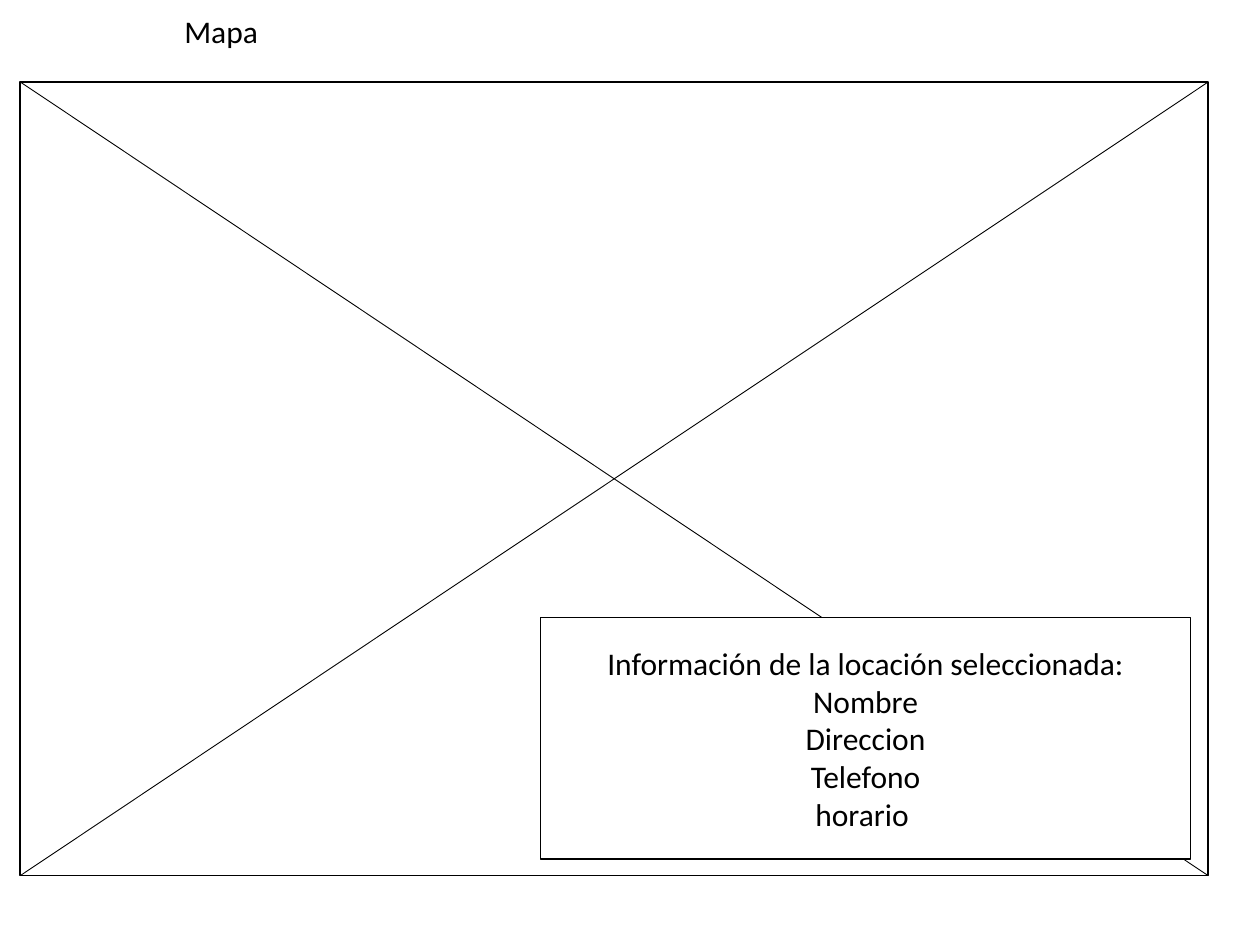
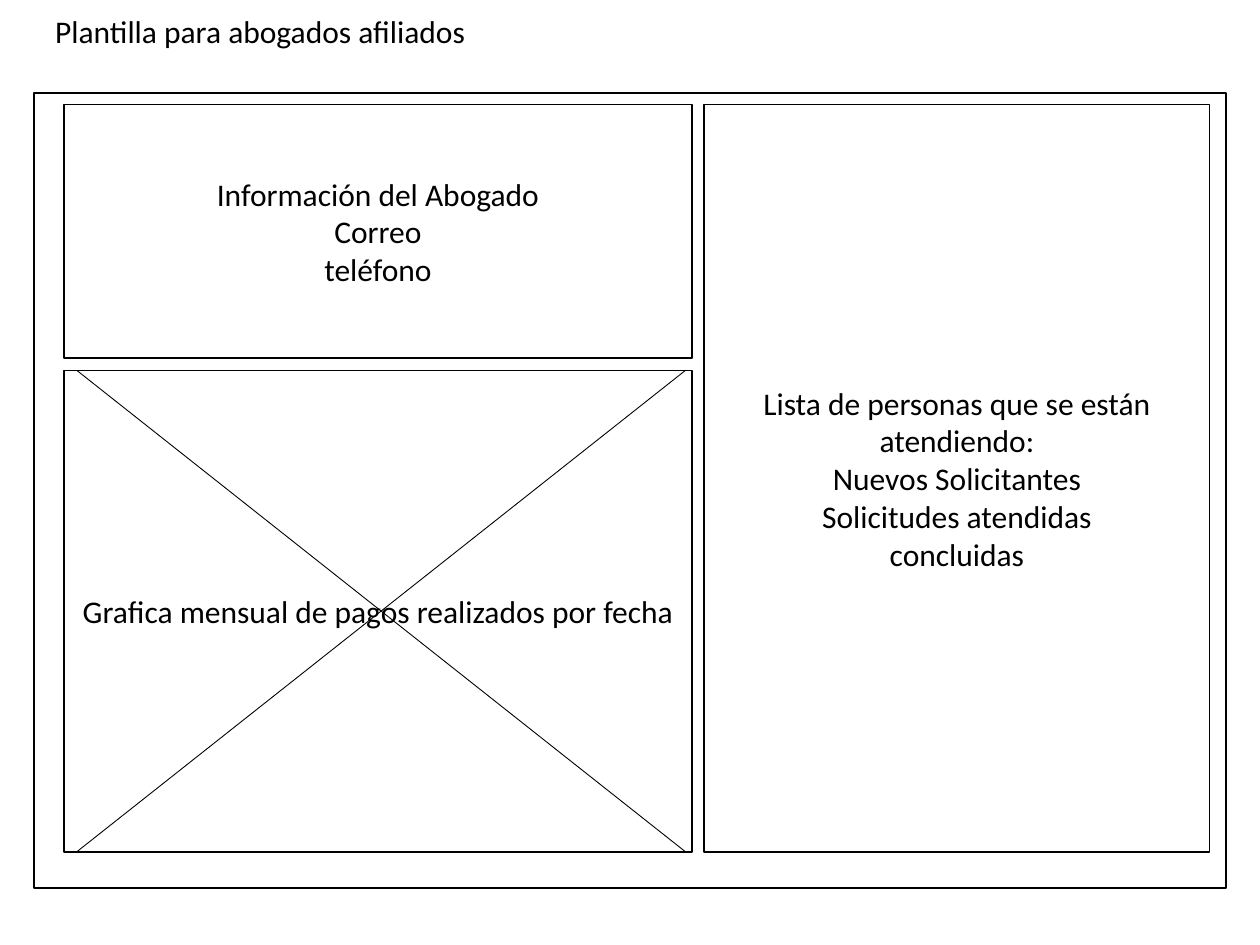
from dataclasses import dataclass

from lxml import etree
from pptx import Presentation
from pptx.dml.color import RGBColor
from pptx.enum.shapes import MSO_CONNECTOR, MSO_SHAPE
from pptx.enum.text import MSO_ANCHOR, MSO_AUTO_SIZE, PP_ALIGN
from pptx.oxml.ns import qn
from pptx.util import Inches, Pt

RECTANGLE = MSO_SHAPE.RECTANGLE
STRAIGHT = MSO_CONNECTOR.STRAIGHT
MIDDLE = MSO_ANCHOR.MIDDLE
CENTER = PP_ALIGN.CENTER
NO_AUTOFIT = MSO_AUTO_SIZE.NONE
TITLE_ONLY = 5


@dataclass(frozen=True)
class Theme:
    """Colours, type and line widths of the wireframes."""
    ink: RGBColor = RGBColor(0, 0, 0)
    paper: RGBColor = RGBColor(255, 255, 255)
    font: str = "Calibri"
    size: Pt = Pt(18)
    border: Pt = Pt(1)
    hairline: Pt = Pt(0.5)


THEME = Theme()


def fill_paper(sp):
    """Give a shape the plain background fill."""
    sp.fill.solid()
    sp.fill.fore_color.rgb = THEME.paper


def write(sp, lines):
    """Centre the lines in a shape, one paragraph each."""
    tf = sp.text_frame
    tf.word_wrap = True
    tf.auto_size = NO_AUTOFIT
    tf.vertical_anchor = MIDDLE
    tf.text = "\n".join(lines)
    for p in tf.paragraphs:
        p.alignment = CENTER
        p.font.name = THEME.font
        p.font.size = THEME.size
        p.font.color.rgb = THEME.ink


def add_titled_slide(prs, title, width):
    """Add a slide with its title in the top left corner."""
    s = prs.slides.add_slide(prs.slide_layouts[TITLE_ONLY])
    sp = s.shapes.title
    sp.left, sp.top = Inches(0.09), Inches(0.04)
    sp.width, sp.height = Inches(width), Inches(0.41)
    fill_paper(sp)
    write(sp, [title])
    return s


def add_panel(s, box, lines=()):
    """Draw an outlined panel, with text if there is any."""
    sp = s.shapes.add_shape(RECTANGLE, *map(Inches, box))
    sp.shadow.inherit = False
    fill_paper(sp)
    sp.line.color.rgb = THEME.ink
    sp.line.width = THEME.border
    if lines:
        write(sp, lines)


def add_cross(s, box):
    """Draw the two diagonals of a box."""
    x, y, w, h = box
    for y1, y2 in ((y, y + h), (y + h, y)):
        line = s.shapes.add_connector(
            STRAIGHT, Inches(x), Inches(y1), Inches(x + w), Inches(y2))
        line.line.color.rgb = THEME.ink
        line.line.width = THEME.hairline
        etree.SubElement(line._element.spPr, qn("a:effectLst"))


def build_map(s, box):
    """Fill a box with the map and its location card."""
    x, y, w, h = box
    add_panel(s, box)
    add_cross(s, box)
    card_w, card_h = 5.16, 1.92
    add_panel(s, (x + w - card_w - 0.14, y + h - card_h - 0.13, card_w, card_h),
              ["Información de la locación seleccionada:", "Nombre",
               "Direccion", "Telefono", "horario "])


def build_lawyer_page(s, box):
    """Fill a box with the lawyer's details, payments and clients."""
    x, y, w, h = box
    gap, left_w, info_h, list_w, list_h = 0.1, 4.98, 2.01, 4.01, 5.93
    left, top = x + 0.24, y + 0.09
    chart_top = top + info_h + gap
    chart_h = list_h - info_h - gap
    add_panel(s, box)
    add_panel(s, (left + left_w + gap, top, list_w, list_h),
              ["Lista de personas que se están atendiendo:",
               "Nuevos Solicitantes", "Solicitudes atendidas", "concluidas"])
    add_panel(s, (left, chart_top, left_w, chart_h),
              ["Grafica mensual de pagos realizados por fecha"])
    add_panel(s, (left, top, left_w, info_h),
              ["Información del Abogado", "Correo", "teléfono"])
    add_cross(s, (left + gap, chart_top, left_w - 0.15, chart_h))


prs = Presentation()
prs.slide_width, prs.slide_height = Inches(10), Inches(7.5)
build_map(add_titled_slide(prs, "Mapa", 3.33), (0.16, 0.65, 9.43, 6.3))
build_lawyer_page(
    add_titled_slide(prs, "Plantilla para abogados afiliados", 3.95),
    (0.27, 0.74, 9.46, 6.31))
prs.save("out.pptx")
